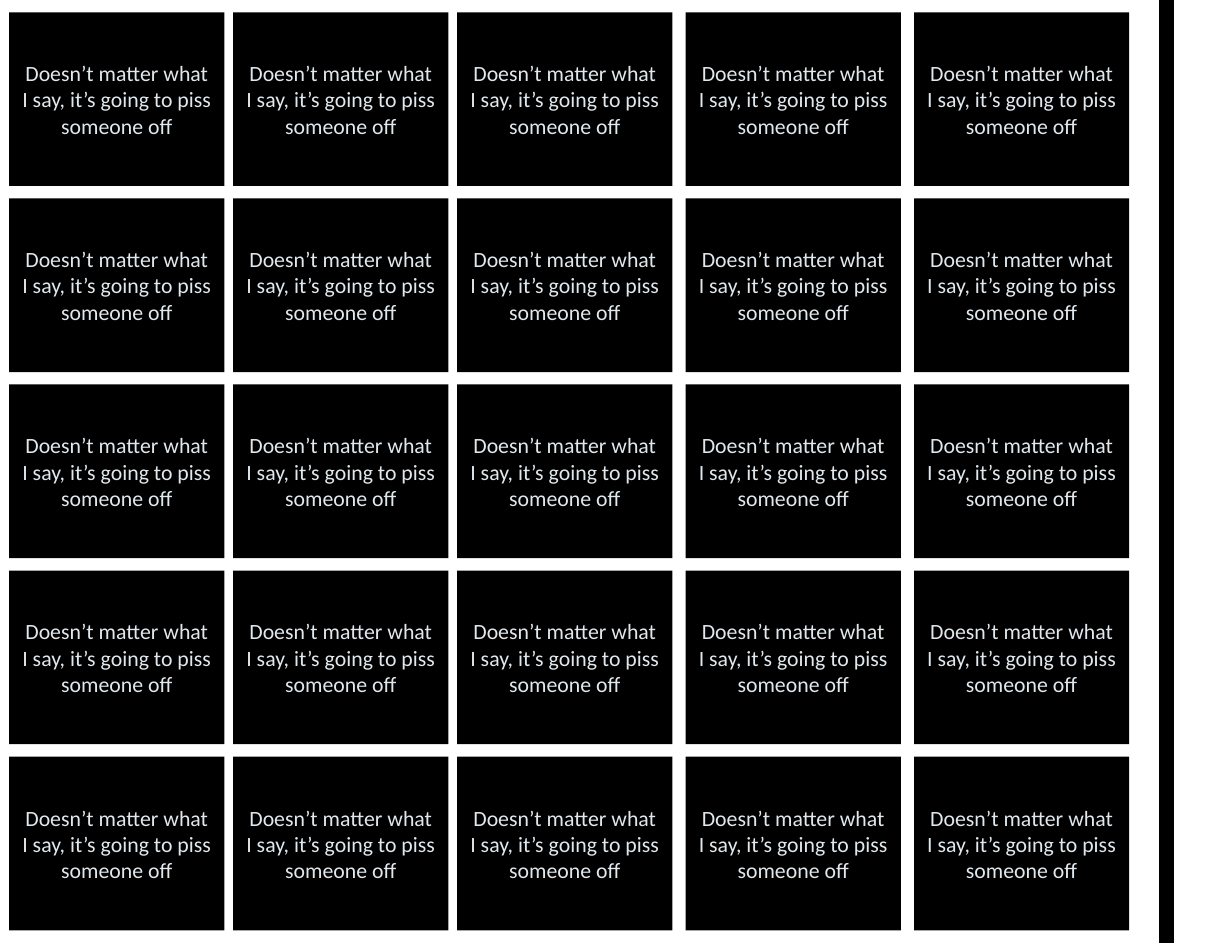
from itertools import accumulate

from lxml.etree import SubElement
from pptx import Presentation
from pptx.dml.color import RGBColor
from pptx.enum.shapes import MSO_CONNECTOR, MSO_SHAPE
from pptx.enum.text import MSO_ANCHOR, PP_ALIGN
from pptx.oxml.ns import qn
from pptx.util import Cm, Pt

QUOTE = "Doesn’t matter what I say, it’s going to piss someone off"
BLACK, PALE = "000000", "E1E8ED"
FONT = {"name": "Calibri", "size": Pt(14)}
CARD = (4.88, 3.94)
STEPS = (5.08, 5.08, 5.18, 5.18)  # the last two columns stand wider apart
ROWS, PITCH = 5, 4.22


def paint(item, color):
    item.rgb = RGBColor.from_string(color)


def add_card(slide, left, top, width, height):
    card = slide.shapes.add_shape(
        MSO_SHAPE.RECTANGLE, Cm(left), Cm(top), Cm(width), Cm(height))
    card.shadow.inherit = False
    card.fill.solid()
    paint(card.fill.fore_color, BLACK)
    card.line.fill.background()
    frame = card.text_frame
    frame.word_wrap = True
    frame.vertical_anchor = MSO_ANCHOR.MIDDLE
    para = frame.paragraphs[0]
    para.alignment = PP_ALIGN.CENTER
    run = para.add_run()
    run.text = QUOTE
    for key, value in FONT.items():
        setattr(run.font, key, value)
    paint(run.font.color, PALE)


def add_grid(slide, left, top):
    for x in accumulate(STEPS, initial=left):
        for row in range(ROWS):
            add_card(slide, x, top + row * PITCH, *CARD)


def add_rule(slide, left, top, height):
    rule = slide.shapes.add_connector(
        MSO_CONNECTOR.STRAIGHT, Cm(left), Cm(top), Cm(left), Cm(top + height))
    rule.line.width = Pt(9.75)
    paint(rule.line.color, BLACK)
    SubElement(rule.element.spPr, qn("a:effectLst"))


def main():
    deck = Presentation()
    deck.slide_width, deck.slide_height = Cm(27.94), Cm(21.59)
    slide = deck.slides.add_slide(deck.slide_layouts[6])
    add_rule(slide, 26.46, 0, 21.39)
    add_grid(slide, 0.21, 0.28)
    deck.save("out.pptx")


if __name__ == "__main__":
    main()
